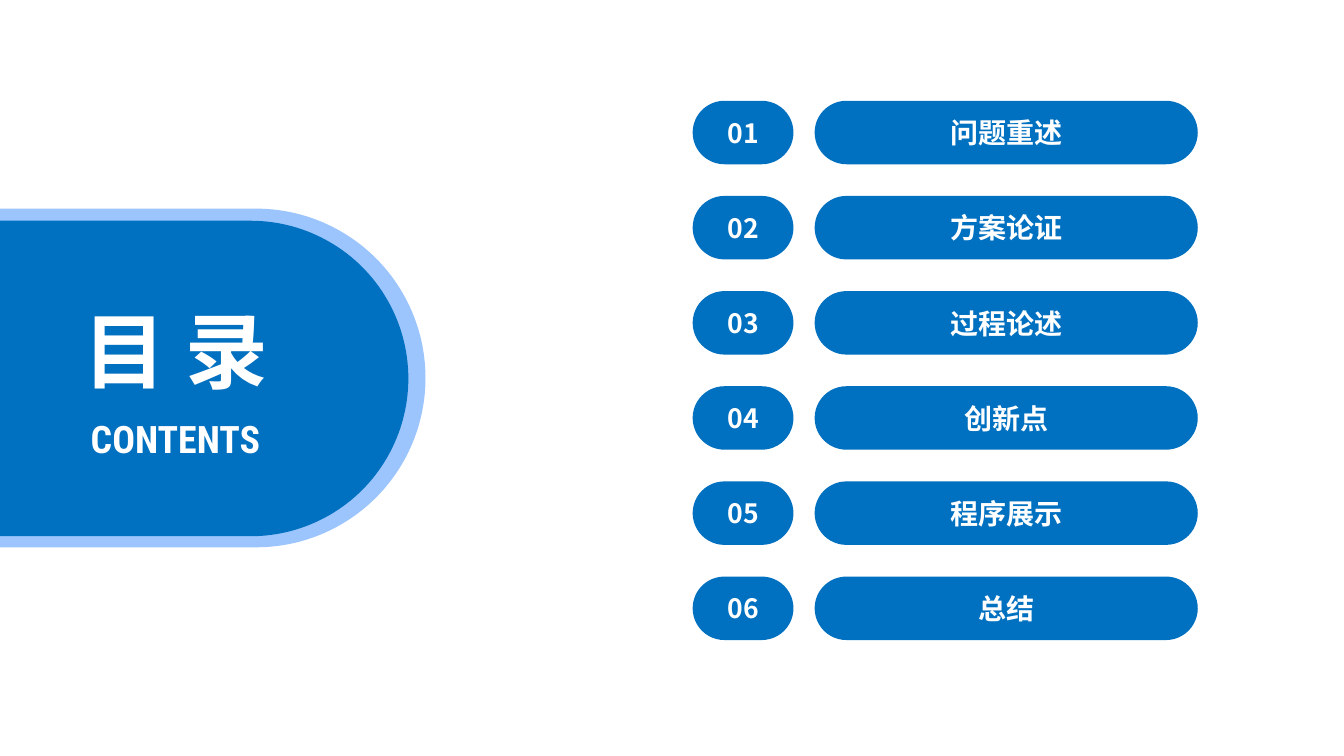
from lxml import etree
from pptx import Presentation
from pptx import util as u
from pptx.dml import color
from pptx.enum import shapes, text
from pptx.oxml import ns

BLUE, PALE, WHITE = "0070C0", "9CC5FD", "FFFFFF"
SANS, SLIM = "Noto Sans CJK SC", "Roboto Condensed"
TOPICS = ["问题重述", "方案论证", "过程论述", "创新点", "程序展示", "总结"]


def rgb(code):
    return color.RGBColor.from_string(code)


class Page:
    """Holds the text style and the current slide."""

    def __init__(self, slide, ink):
        self.slide = slide
        self.ink = ink

    def letter(self, frame, words, size, face):
        para = frame.paragraphs[0]
        para.text = words
        para.alignment = text.PP_ALIGN.CENTER
        font = para.font
        font.name, font.size, font.bold = face, u.Pt(size), True
        font.color.rgb = rgb(self.ink)
        # East Asian glyphs need their own typeface entry
        latin = para._p.pPr.find(".//" + ns.qn("a:latin"))
        east = etree.Element(ns.qn("a:ea"), typeface=face)
        latin.addnext(east)

    def pill(self, left, top, width, height, fill, words="", size=20):
        shape = self.slide.shapes.add_shape(
            shapes.MSO_SHAPE.ROUNDED_RECTANGLE,
            u.Inches(left), u.Inches(top), u.Inches(width), u.Inches(height))
        shape.adjustments[0] = 0.5
        shape.shadow.inherit = False
        shape.fill.solid()
        shape.fill.fore_color.rgb = rgb(fill)
        shape.line.fill.background()
        if words:
            shape.text_frame.vertical_anchor = text.MSO_ANCHOR.MIDDLE
            self.letter(shape.text_frame, words, size, SANS)

    def label(self, left, top, width, height, words, size, face):
        box = self.slide.shapes.add_textbox(
            u.Inches(left), u.Inches(top), u.Inches(width), u.Inches(height))
        frame = box.text_frame
        frame.word_wrap = False
        frame.auto_size = text.MSO_AUTO_SIZE.SHAPE_TO_FIT_TEXT
        self.letter(frame, words, size, face)


def main():
    deck = Presentation()
    deck.slide_width, deck.slide_height = u.Inches(13.33), u.Inches(7.5)
    page = Page(deck.slides.add_slide(deck.slide_layouts[6]), WHITE)

    # Title tab running in from the left edge
    page.pill(-1.96, 2.07, 6.18, 3.36, PALE)
    page.pill(-1.7, 2.19, 5.75, 3.13, BLUE)
    page.label(0.7, 2.93, 2.09, 1.09, "目 录", 59, SANS)
    page.label(0.6, 4.08, 2.28, 0.56, "CONTENTS", 27, SLIM)

    # Numbered topics, evenly spread from the first top to the last
    pitch = (5.72 - 1) / (len(TOPICS) - 1)
    for row, topic in enumerate(TOPICS):
        top = 1 + row * pitch
        page.pill(6.87, top, 1, 0.63, BLUE, f"{row + 1:02}", 19)
        page.pill(8.08, top, 3.8, 0.63, BLUE, topic)

    deck.save("out.pptx")


if __name__ == "__main__":
    main()
